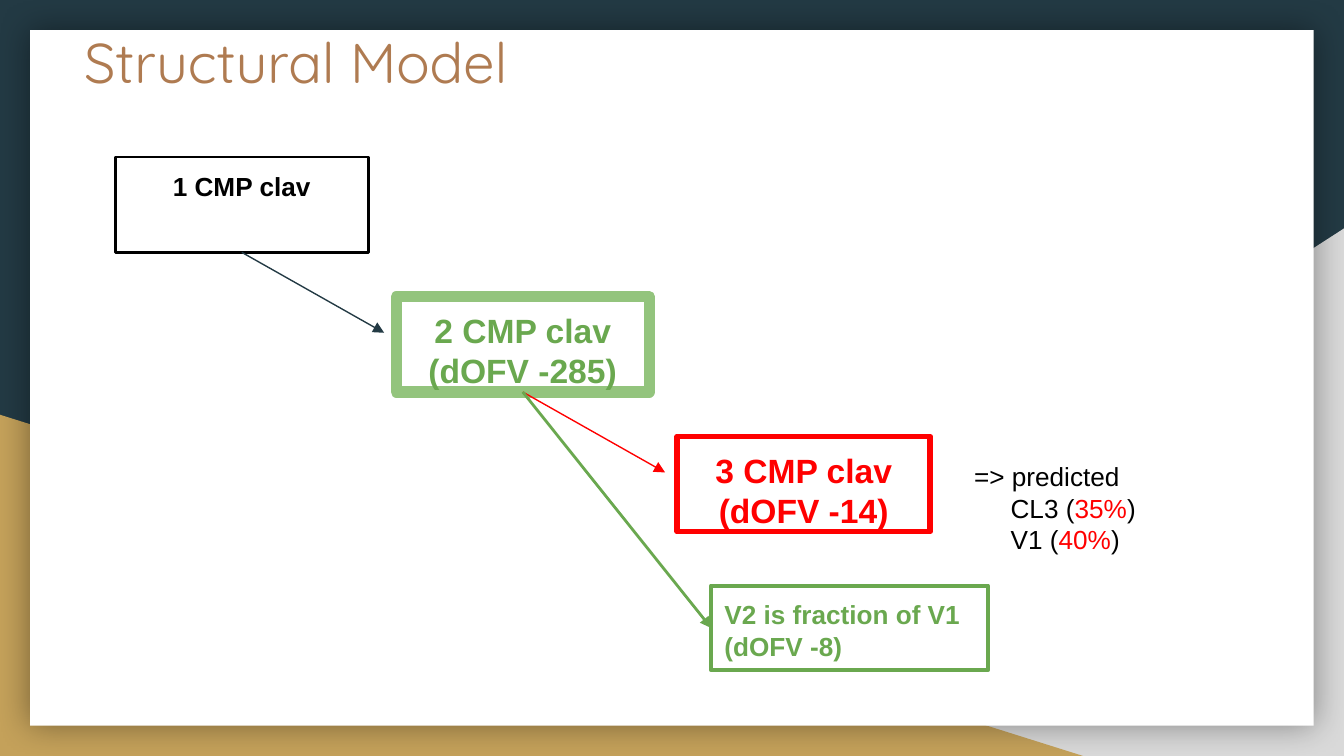
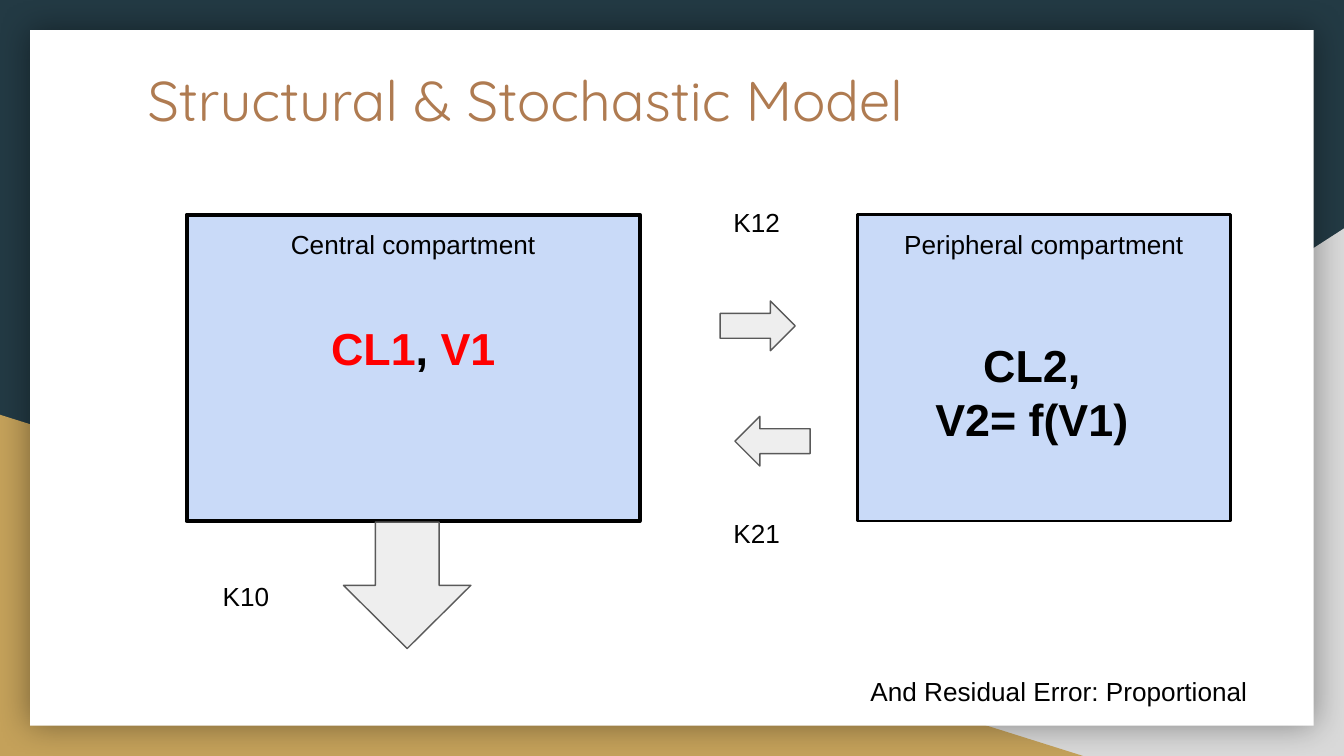
from dataclasses import dataclass
from lxml.etree import SubElement
from pptx import Presentation
from pptx.dml.color import RGBColor
from pptx.enum.shapes import MSO_CONNECTOR, MSO_SHAPE
from pptx.enum.text import MSO_ANCHOR, PP_ALIGN
from pptx.oxml.ns import qn
from pptx.util import Cm, Pt


@dataclass(frozen=True)
class Theme:
    dark: str = "233A44"
    gray: str = "D9D9D9"
    gold: str = "C4A15A"
    paper: str = "FFFFFF"
    brown: str = "AF7B51"
    ink: str = "000000"
    red: str = "FF0000"
    green: str = "6AA84F"
    leaf: str = "93C47D"
    sky: str = "C9DAF8"
    pale: str = "EEEEEE"
    edge: str = "595959"
    head: str = "Quicksand"
    body: str = "Arial"
    title: int = 30
    large: int = 24
    medium: int = 18
    small: int = 14


@dataclass(frozen=True)
class Box:
    """A place on the slide, in centimetres."""
    left: float
    top: float
    width: float
    height: float

    def inner(self, x, y, width, height):
        return Box(self.left + x, self.top + y, width, height)

    def cm(self):
        return [Cm(n) for n in (self.left, self.top, self.width, self.height)]


T = Theme()
PAGE = Box(0, 0, 25.4, 14.29)
INSET = 0.25


@dataclass(frozen=True)
class Line:
    """One paragraph; text is a string or a list of (text, colour) runs."""
    text: object
    size: int = T.small
    color: str = T.ink
    bold: bool = False
    align: object = PP_ALIGN.LEFT
    before: int = 0
    left: float = 0
    right: float = 0
    face: str = T.body


def rgb(code):
    return RGBColor.from_string(code)


def write(shape, lines, anchor=MSO_ANCHOR.TOP):
    frame = shape.text_frame
    frame.word_wrap = True
    frame.vertical_anchor = anchor
    frame.margin_left = frame.margin_right = Cm(INSET)
    frame.margin_top = frame.margin_bottom = Cm(INSET)
    for i, line in enumerate(lines):
        para = frame.add_paragraph() if i else frame.paragraphs[0]
        para.alignment = line.align
        if line.before:
            para.space_before = Pt(line.before)
        for key, gap in (("marL", line.left), ("marR", line.right)):
            if gap:
                para._p.get_or_add_pPr().set(key, str(Cm(gap)))
        font = para.font
        font.name, font.size, font.bold = line.face, Pt(line.size), line.bold
        if isinstance(line.text, str):
            para.add_run().text = line.text
            font.color.rgb = rgb(line.color)
        else:
            for text, color in line.text:
                run = para.add_run()
                run.text = text
                run.font.color.rgb = rgb(color)


def label(slide, box, *lines, anchor=MSO_ANCHOR.TOP):
    write(slide.shapes.add_textbox(*box.cm()), lines, anchor)


def draw(slide, kind, box, fill=None, line=None, width=0.75):
    shape = slide.shapes.add_shape(kind, *box.cm())
    shape.shadow.inherit = False
    if fill:
        shape.fill.solid()
        shape.fill.fore_color.rgb = rgb(fill)
    else:
        shape.fill.background()
    if line:
        shape.line.color.rgb = rgb(line)
        shape.line.width = Pt(width)
    else:
        shape.line.fill.background()
    return shape


def link(slide, start, color, width, shift=(0, 0), end=None):
    """Arrow from the bottom of start, by a shift or to the left of end."""
    x, y = start.left + start.width // 2, start.top + start.height
    wire = slide.shapes.add_connector(
        MSO_CONNECTOR.STRAIGHT, x, y, x + Cm(shift[0]), y + Cm(shift[1]))
    wire.begin_connect(start, 2)
    if end is not None:
        wire.end_connect(end, 1)
    wire.line.color.rgb = rgb(color)
    wire.line.width = Pt(width)
    SubElement(wire.line._get_or_add_ln(), qn("a:tailEnd"), type="triangle")
    SubElement(wire._element.spPr, qn("a:effectLst"))


def shade(shape):
    """Soft dark glow around a sheet."""
    effects = shape._element.spPr.find(qn("a:effectLst"))
    glow = SubElement(effects, qn("a:outerShdw"), blurRad=str(Pt(18)),
                      dist="0", dir="0", algn="ctr", rotWithShape="0")
    tint = SubElement(glow, qn("a:srgbClr"), val=T.ink)
    SubElement(tint, qn("a:alpha"), val="40000")


def backdrop(slide, box):
    slide.background.fill.solid()
    slide.background.fill.fore_color.rgb = rgb(T.dark)
    wide, high, edge = 15.44, 9.97, 0.57
    gray = draw(slide, MSO_SHAPE.RIGHT_TRIANGLE,
                box.inner(box.width - wide, box.height - high, wide, high), T.gray)
    gray._element.spPr.xfrm.set("flipH", "1")
    draw(slide, MSO_SHAPE.RIGHT_TRIANGLE,
         box.inner(0, box.height - 6.45, 20.47, 6.45), T.gold)
    shade(draw(slide, MSO_SHAPE.RECTANGLE,
               box.inner(edge, edge, box.width - 2 * edge, box.height - 2 * edge),
               T.paper))


def start(deck, title, box):
    slide = deck.slides.add_slide(deck.slide_layouts[6])
    backdrop(slide, PAGE)
    label(slide, box, Line(title, T.title, T.brown, left=0.25, face=T.head))
    return slide


def ladder(slide, box):
    """Models of rising size, each a step down and to the right."""
    steps = [
        (["1 CMP clav"], T.small, T.ink, T.ink, 1.5),
        (["2 CMP clav", "(dOFV -285)"], T.medium, T.green, T.leaf, 6),
        (["3 CMP clav", "(dOFV -14)"], T.medium, T.red, T.red, 3),
    ]
    cards = []
    for i, (texts, size, color, edge, width) in enumerate(steps):
        card = draw(slide, MSO_SHAPE.RECTANGLE,
                    box.inner(5.31 * i, 2.64 * i, 4.78, 1.8), None, edge, width)
        write(card, [Line(t, size, color, True, PP_ALIGN.CENTER) for t in texts])
        cards.append(card)
    for card, color in zip(cards, (T.dark, T.red)):
        link(slide, card, color, 0.75, shift=(2.69, 1.52))

    label(slide, box.inner(15.98, 5.49, 4.93, 3.38), Line("=> predicted"),
          *[Line([(name + " (", T.ink), (share, T.red), (")", T.ink)], left=0.69)
            for name, share in (("CL3", "35%"), ("V1", "40%"))])

    ratio = draw(slide, MSO_SHAPE.RECTANGLE, box.inner(11.26, 8.1, 5.23, 1.6),
                 None, T.green, 2.25)
    write(ratio, [Line(t, color=T.green, bold=True)
                  for t in ("V2 is fraction of V1", "(dOFV -8)")])
    link(slide, cards[1], T.green, 1.5, end=ratio)


def tank(slide, box, width, *lines):
    shape = draw(slide, MSO_SHAPE.RECTANGLE, box, T.sky, T.ink, width)
    write(shape, lines)


def flow(slide, box):
    """Two compartments with the rates between and out of them."""
    mid = PP_ALIGN.CENTER
    tank(slide, box.inner(0, 0.4, 8.56, 5.79), 2.25,
         Line("Central compartment", align=mid),
         Line([("CL1", T.red), (", ", T.ink), ("V1", T.red)],
              T.large, bold=True, align=mid, before=33))
    tank(slide, box.inner(12.67, 0.4, 7.06, 5.79), 1.5,
         Line("Peripheral compartment", align=mid),
         Line("CL2,", T.large, bold=True, align=mid, before=42, right=0.46),
         Line("V2= f(V1)", T.large, bold=True, align=mid))

    for x, y, width, height, turn in ((10.08, 2.03, 1.42, 0.94, 0),
                                      (10.36, 4.21, 1.42, 0.94, 180),
                                      (2.97, 6.2, 2.39, 2.41, 90)):
        arrow = draw(slide, MSO_SHAPE.RIGHT_ARROW,
                     box.inner(x, y, width, height), T.pale, T.edge)
        arrow.rotation = turn

    label(slide, box.inner(10.08, 0, 1.98, 2.29), Line("K12"))
    label(slide, box.inner(10.08, 5.28, 2.21, 2.29), Line("K21"),
          anchor=MSO_ANCHOR.MIDDLE)
    label(slide, box.inner(0.43, 7.06, 1.7, 1.8), Line("K10"))
    label(slide, box.inner(12.67, 8.86, 8.56, 0.94),
          Line("And Residual Error: Proportional"))


def main():
    deck = Presentation()
    deck.slide_width, deck.slide_height = Cm(PAGE.width), Cm(PAGE.height)
    ladder(start(deck, "Structural Model", Box(1.09, 0.28, 23.67, 1.6)),
           Box(2.18, 2.97, 20.91, 9.7))
    flow(start(deck, "Structural & Stochastic Model", Box(2.29, 0.99, 20.85, 2.64)),
         Box(3.53, 3.66, 21.23, 9.8))
    deck.save("out.pptx")


if __name__ == "__main__":
    main()
